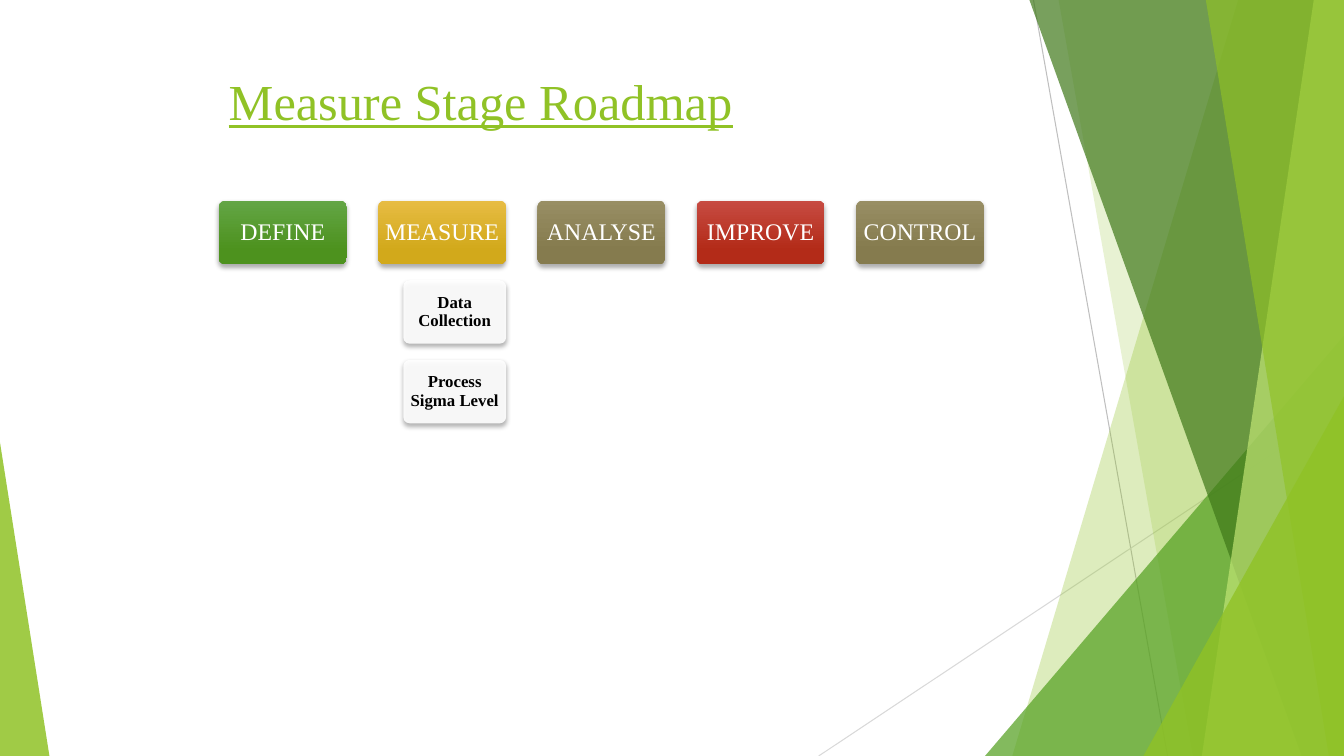
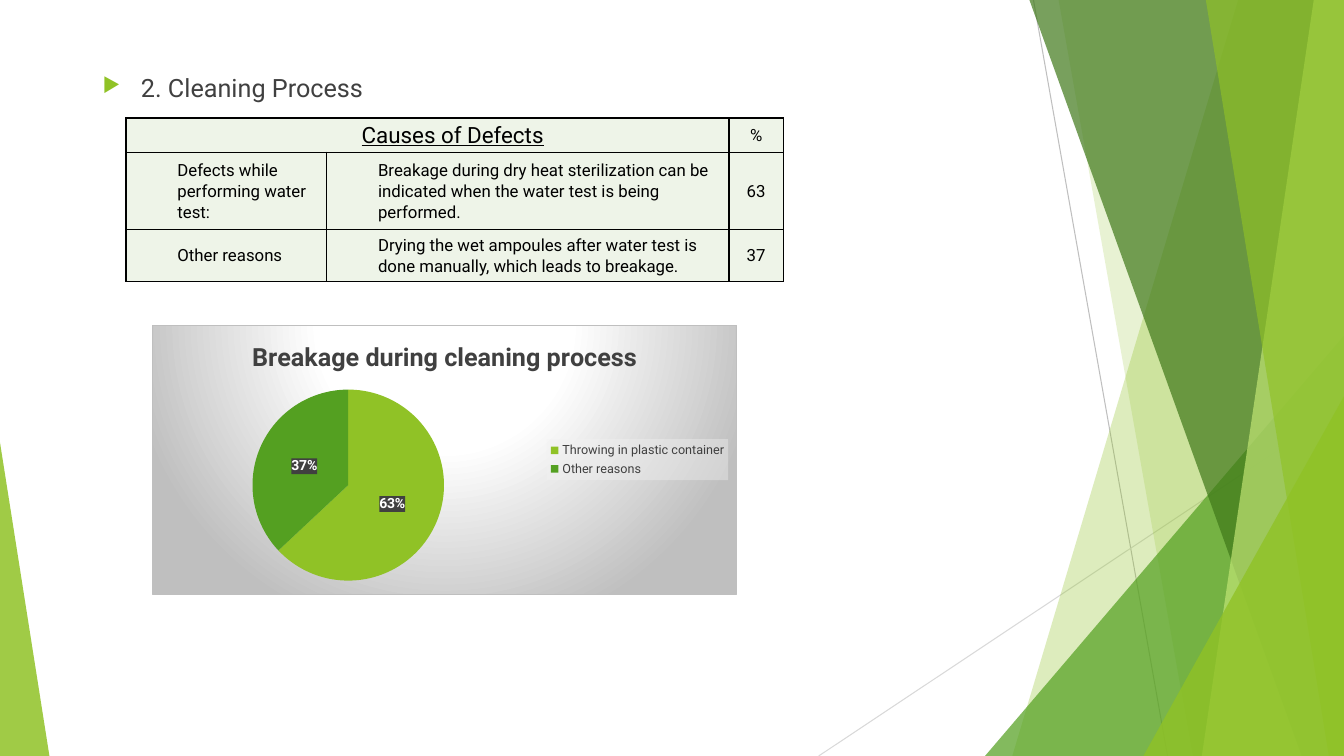
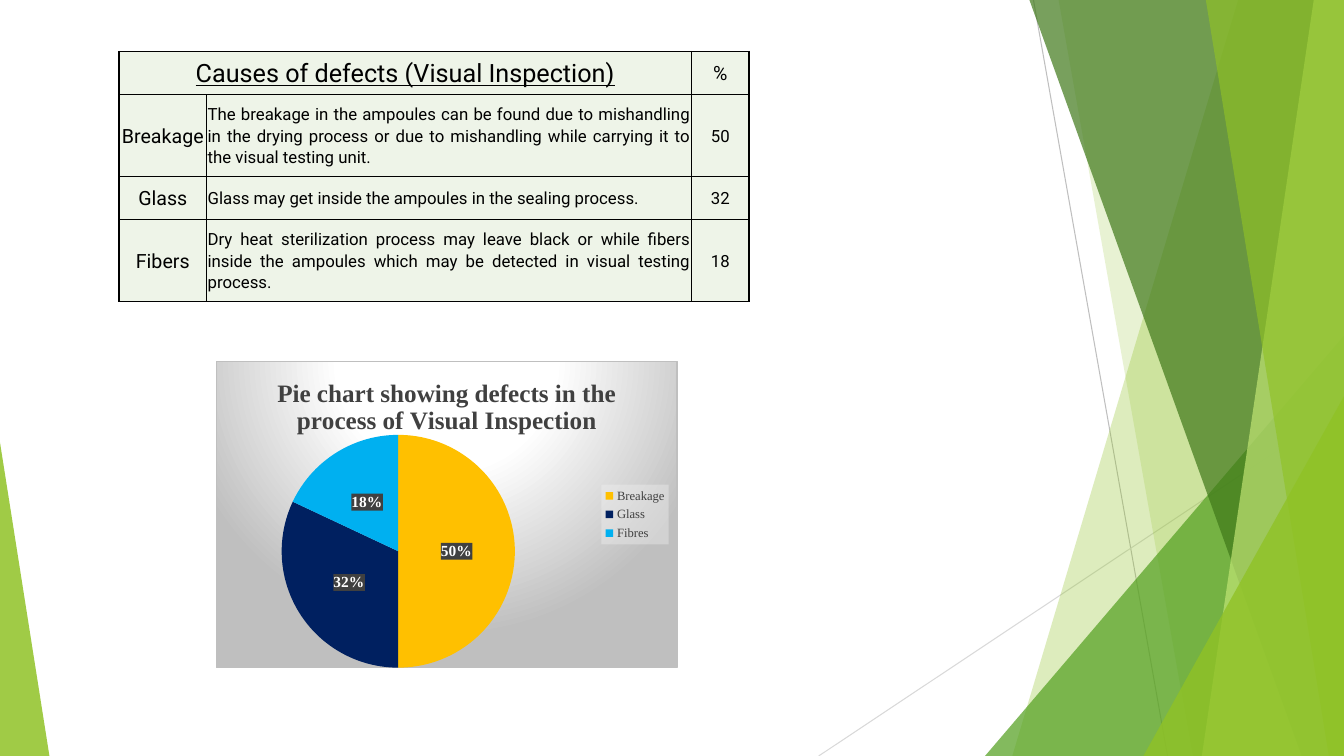
from pptx import Presentation, util as u
from pptx.chart.data import CategoryChartData
from pptx.dml.color import RGBColor
from pptx.enum import chart as charts, shapes, text
from pptx.oxml import ns, parse_xml

INK = {
    "lime": "90C226", "green": "54A021", "dark": "3F7819", "pale": "C0E474",
    "white": "FFFFFF", "black": "000000", "text": "404040", "cell": "EEF4E8",
    "rule": "BFBFBF", "faint": "D9D9D9", "mist": "F2F2F2",
    "gold": "FFC000", "navy": "002060", "sky": "00B0F0",
}
SANS, SERIF = "Roboto", "Times New Roman"
WIDE, HIGH = 13.33, 7.5
NS = ns.nsdecls("a", "c")
LEFT, MID, JUST = text.PP_ALIGN.LEFT, text.PP_ALIGN.CENTER, text.PP_ALIGN.JUSTIFY

# Lines: start x, start y, end x, end y, colour
LINES = [(10.25, 0, 11.58, HIGH, "rule"), (WIDE, 4.03, 8.12, HIGH, "faint")]
# Bands reach the right edge: top x, bottom x. Peaks stand on the bottom: left, top, width, tip.
DECOR = [
    ("band", (12.28, 10.04), "lime", 30),
    ("band", (10.5, 11.83), "lime", 20),
    ("peak", (9.77, 3.33, 3.56, 1), "green", 72),
    ("band", (10.21, 12.91), "dark", 70),
    ("band", (13.03, 11.92), "pale", 70),
    ("band", (11.96, 13.18), "lime", 65),
    ("peak", (11.34, 3.93, 1.99, 1), "lime", 80),
    ("peak", (0, 4.39, 0.49, 0), "lime", 85),
]

# Stage: name, gradient top, gradient bottom, steps
STAGES = [
    ("DEFINE", "63A545", "4D921E", []),
    ("MEASURE", "E7BC43", "D2A91B", ["Data Collection", "Process Sigma Level"]),
    ("ANALYSE", "988E64", "857B4E", []),
    ("IMPROVE", "C74B42", "B32B18", []),
    ("CONTROL", "988E64", "857B4E", []),
]

CLEAN = {
    "at": (1.25, 1.17), "cols": [1.99, 3.99, 0.54], "rows": [0.34, 0.77, 0.51],
    "head": 16, "sizes": [12, 12, 12], "unit": 12,
    "align": [LEFT, LEFT, MID], "indent": 0.5,
    "cells": [
        ["Causes of Defects", "", "%"],
        ["Defects while performing water test:",
         "Breakage during dry heat sterilization can be indicated when the water test "
         "is being performed.", "63"],
        ["Other reasons",
         "Drying the wet ampoules after water test is done manually, which leads to "
         "breakage.", "37"],
    ],
}
VISUAL = {
    "at": (1.18, 0.51), "cols": [0.87, 4.81, 0.57], "rows": [0.43, 0.81, 0.43, 0.81],
    "head": 18, "sizes": [14, 12, 12], "unit": 14,
    "align": [MID, JUST, MID], "indent": 0,
    "cells": [
        ["Causes of defects (Visual Inspection)", "", "%"],
        ["Breakage",
         "The breakage in the ampoules can be found due to mishandling in the drying "
         "process or due to mishandling while carrying it to the visual testing unit.", "50"],
        ["Glass", "Glass may get inside the ampoules in the sealing process.", "32"],
        ["Fibers",
         "Dry heat sterilization process may leave black or while fibers inside the "
         "ampoules which may be detected in visual testing process.", "18"],
    ],
}
CLEAN_PIE = {
    "at": (1.51, 3.22, 5.8, 2.68), "font": SANS, "label": 10,
    "title": "Breakage during cleaning process",
    "parts": [("Throwing in plastic container", 63, "lime"), ("Other reasons", 37, "green")],
    "plot": (0.17, 0.24, 0.33, 0.71),
}
VISUAL_PIE = {
    "at": (2.14, 3.58, 4.58, 3.05), "font": SERIF, "label": 11,
    "title": "Pie chart showing defects in the process of Visual Inspection",
    "parts": [("Breakage", 50, "gold"), ("Glass", 32, "navy"), ("Fibres", 18, "sky")],
    "plot": (0.09, 0.24, 0.61, 0.76),
}


def inch(*sizes):
    return [u.Inches(size) for size in sizes]


def rgb(name):
    return RGBColor.from_string(INK.get(name, name))


def style(font, face, size, color, bold=False, line=False):
    font.name, font.size, font.bold, font.underline = face, u.Pt(size), bold, line
    font.color.rgb = rgb(color)


def solid(color, alpha=100):
    return (f'<a:solidFill><a:srgbClr val="{INK[color]}">'
            f'<a:alpha val="{alpha * 1000}"/></a:srgbClr></a:solidFill>')


def paint(shape, color, alpha):
    """Fill a shape with a see-through colour and drop its line and shadow."""
    shape.shadow.inherit = False
    shape.line.fill.background()
    shape.fill.solid()
    shape.fill.fore_color.rgb = rgb(color)
    tint = shape.fill._xPr.find(ns.qn("a:solidFill"))[0]
    tint.append(parse_xml(f'<a:alpha {NS} val="{alpha * 1000}"/>'))


def pad(frame, side, top):
    frame.margin_left = frame.margin_right = u.Inches(side)
    frame.margin_top = frame.margin_bottom = u.Inches(top)


def start(deck):
    """Add a blank slide with the shared backdrop."""
    slide = deck.slides.add_slide(deck.slide_layouts[6])
    for *ends, color in LINES:
        line = slide.shapes.add_connector(shapes.MSO_CONNECTOR.STRAIGHT, *inch(*ends))
        line.line.color.rgb, line.line.width = rgb(color), u.Pt(0.75)
        line._element.spPr.append(parse_xml(f"<a:effectLst {NS}/>"))
    for kind, spot, color, alpha in DECOR:
        if kind == "band":
            top, low = spot
            path = slide.shapes.build_freeform(*inch(top, 0))
            path.add_line_segments(
                [inch(WIDE, 0), inch(WIDE, HIGH), inch(low, HIGH)], close=True)
            shape = path.convert_to_shape()
        else:
            left, top, width, tip = spot
            shape = slide.shapes.add_shape(
                shapes.MSO_SHAPE.ISOSCELES_TRIANGLE, *inch(left, top, width, HIGH - top))
            shape.adjustments[0] = tip
        paint(shape, color, alpha)
    return slide


def write(slide, at, words, face, size, color, line=False, bullet=False):
    frame = slide.shapes.add_textbox(*inch(*at)).text_frame
    frame.word_wrap = True
    frame.text = words
    para = frame.paragraphs[0]
    if bullet:
        props = para._p.get_or_add_pPr()
        props.set("marL", str(u.Inches(0.38)))
        props.set("indent", str(u.Inches(-0.38)))
        for mark in (f'<a:buClr {NS}><a:srgbClr val="{INK["lime"]}"/></a:buClr>',
                     f'<a:buSzPct {NS} val="80000"/>', f'<a:buChar {NS} char="▶"/>'):
            props.append(parse_xml(mark))
    style(para.runs[0].font, face, size, color, line=line)


def box(slide, at, words, size, color, bold=False):
    """Add a rounded box with a soft shadow and centred text."""
    shape = slide.shapes.add_shape(shapes.MSO_SHAPE.ROUNDED_RECTANGLE, *inch(*at))
    shape.adjustments[0] = 0.1
    paint(shape, "white", 90)
    shape._element.spPr.find(ns.qn("a:effectLst")).append(parse_xml(
        f'<a:outerShdw {NS} blurRad="{u.Pt(3.5)}" dist="{u.Pt(2.2)}" dir="5400000" '
        f'rotWithShape="0"><a:srgbClr val="{INK["black"]}"><a:alpha val="32000"/>'
        '</a:srgbClr></a:outerShdw>'))
    frame = shape.text_frame
    frame.word_wrap, frame.vertical_anchor = True, text.MSO_ANCHOR.MIDDLE
    pad(frame, 0.02, 0.02)
    frame.text = words
    para = frame.paragraphs[0]
    para.alignment, para.line_spacing = MID, 0.9
    style(para.runs[0].font, SERIF, size, color, bold)
    return shape


def roadmap(slide):
    left, top, width, height, pitch, drop, inset = 2.17, 1.99, 1.27, 0.63, 1.58, 0.79, 0.25
    for col, (name, light, deep, steps) in enumerate(STAGES):
        x = left + col * pitch
        fill = box(slide, (x, top, width, height), name, 17, "white").fill
        fill.gradient()
        fill.gradient_angle = 270
        for stop, color, place in zip(fill.gradient_stops, (light, deep), (0, 0.78)):
            stop.color.rgb, stop.position = rgb(color), place
        for row, step in enumerate(steps, 1):
            box(slide, (x + inset, top + row * drop, width - inset, height),
                step, 12, "black", True)


def grid(slide, data):
    cols, rows = data["cols"], data["rows"]
    table = slide.shapes.add_table(
        len(rows), len(cols), *inch(*data["at"], sum(cols), sum(rows))).table
    table.first_row = table.horz_banding = False
    for col, width in zip(table.columns, cols):
        col.width = u.Inches(width)
    for r, height in enumerate(rows):
        table.rows[r].height = u.Inches(height)
        for c, words in enumerate(data["cells"][r]):
            cell = table.cell(r, c)
            props = cell._tc.get_or_add_tcPr()
            for side in "LRTB":
                props.append(parse_xml(
                    f'<a:ln{side} {NS} w="{u.Pt(1)}">{solid("black")}</a:ln{side}>'))
            cell.fill.solid()
            cell.fill.fore_color.rgb = rgb("cell")
            cell.vertical_anchor = text.MSO_ANCHOR.MIDDLE
            last = c == len(cols) - 1
            pad(cell, 0 if last else 0.01, 0)
            if not words:
                continue
            cell.text = words
            para = cell.text_frame.paragraphs[0]
            head = r == 0 and not last
            if not last:
                para._p.get_or_add_pPr().set("marL", str(u.Inches(data["indent"])))
            para.alignment = MID if head else data["align"][c]
            para.line_spacing = 1.07
            size = data["head"] if head else data["unit"] if r == 0 else data["sizes"][c]
            style(para.runs[0].font, SANS, size, "black", line=head)
    table.cell(0, 0).merge(table.cell(0, 1))


def pie(slide, data):
    face = data["font"]
    names, values, colors = zip(*data["parts"])
    feed = CategoryChartData()
    feed.categories = names
    feed.add_series("Series 1", values)
    chart = slide.shapes.add_chart(
        charts.XL_CHART_TYPE.PIE, *inch(*data["at"]), feed).chart
    style(chart.font, face, 10, "black")
    chart.has_title = True
    frame = chart.chart_title.text_frame
    frame.text = data["title"]
    style(frame.paragraphs[0].runs[0].font, face, 18, "text", True)
    chart.has_legend = True
    legend = chart.legend
    legend.position, legend.include_in_layout = charts.XL_LEGEND_POSITION.RIGHT, False
    style(legend.font, face, 9, "text")

    plot = chart.plots[0]
    plot.vary_by_categories = True
    for i, color in enumerate(colors):
        fill = plot.series[0].points[i].format.fill
        fill.solid()
        fill.fore_color.rgb = rgb(color)
    plot.has_data_labels = True
    labels = plot.data_labels
    labels.show_percentage, labels.show_value = True, False
    labels.number_format, labels.number_format_is_linked = "0%", False
    labels.position = charts.XL_LABEL_POSITION.CENTER
    style(labels.font, face, data["label"], "white", True)

    stops = "".join(f'<a:gs pos="{pos}000"><a:srgbClr val="{INK[color]}"/></a:gs>'
                    for pos, color in ((0, "white"), (39, "white"), (100, "rule")))
    back = (f'<a:gradFill><a:gsLst>{stops}</a:gsLst><a:path path="circle"><a:fillToRect '
            'l="50000" t="-80000" r="50000" b="180000"/></a:path></a:gradFill>'
            f'<a:ln w="{u.Pt(0.75)}">{solid("rule")}</a:ln>')
    root = chart.element
    for spot, look in (("c:chart", back), (".//c:legend/c:overlay", solid("mist", 39)),
                       (".//c:dLbls/c:numFmt", solid("text", 75))):
        root.xpath(spot)[0].addnext(parse_xml(f"<c:spPr {NS}>{look}</c:spPr>"))
    area = root.xpath(".//c:plotArea")[0]
    for old in area.findall(ns.qn("c:layout")):
        area.remove(old)
    sizes = "".join(f'<c:{key} val="{val}"/>' for key, val in zip("xywh", data["plot"]))
    area.insert(0, parse_xml(
        f'<c:layout {NS}><c:manualLayout><c:layoutTarget val="inner"/>'
        f'<c:xMode val="edge"/><c:yMode val="edge"/>{sizes}</c:manualLayout></c:layout>'))


def main():
    deck = Presentation()
    deck.slide_width, deck.slide_height = inch(WIDE, HIGH)

    slide = start(deck)
    write(slide, (2.17, 0.65, 9.4, 1.2), "Measure Stage Roadmap", SERIF, 36, "lime", line=True)
    roadmap(slide)

    slide = start(deck)
    write(slide, (0.92, 0.67, 9.4, 0.45), "2. Cleaning Process", SANS, 18, "text", bullet=True)
    grid(slide, CLEAN)
    pie(slide, CLEAN_PIE)

    slide = start(deck)
    grid(slide, VISUAL)
    pie(slide, VISUAL_PIE)

    deck.save("out.pptx")


if __name__ == "__main__":
    main()
